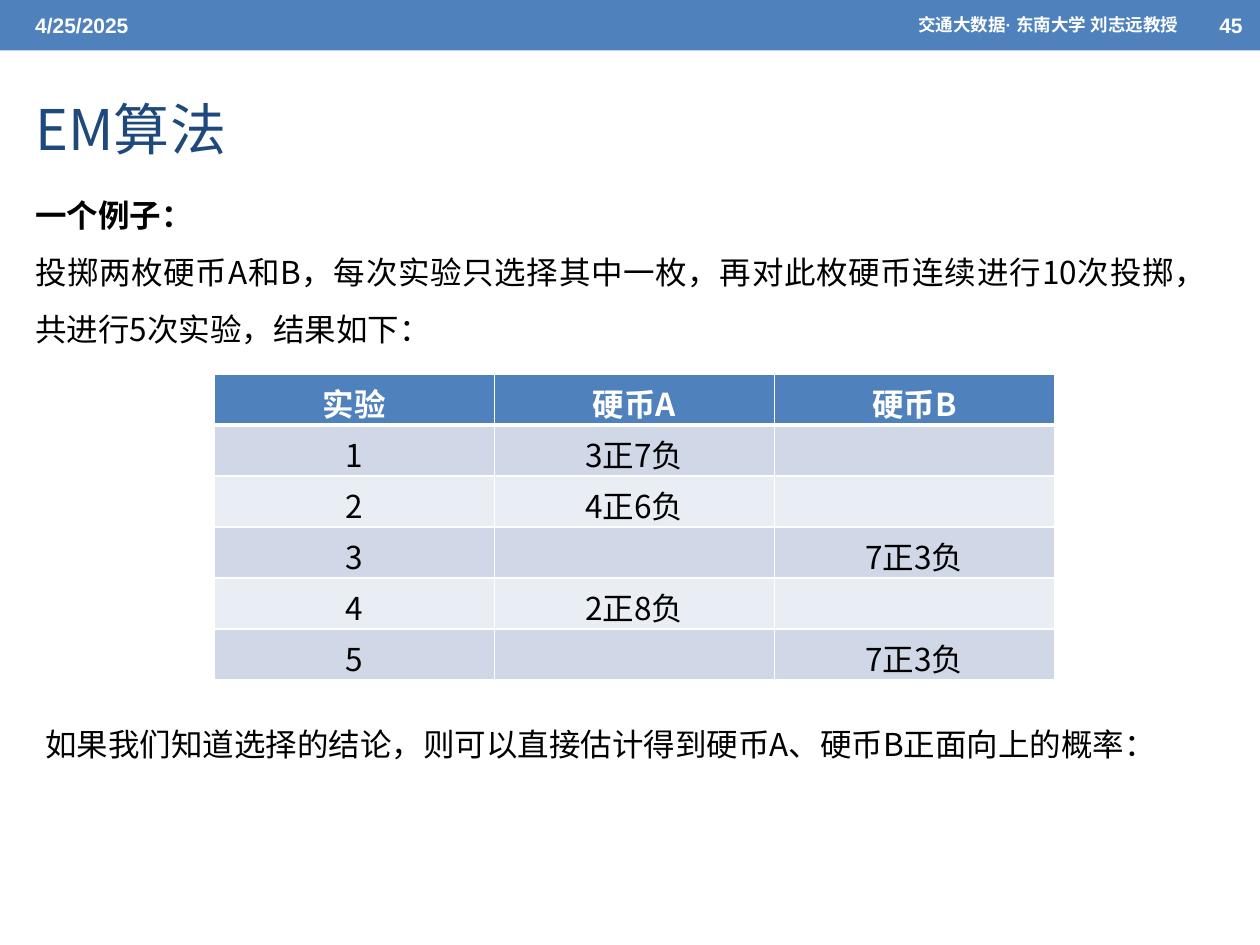
from dataclasses import dataclass
from typing import Any, Optional

import lxml.etree
import pptx
import pptx.dml.color
import pptx.enum.shapes
import pptx.enum.text
import pptx.oxml.ns
import pptx.util

Cm = pptx.util.Cm
Align = pptx.enum.text.PP_ALIGN
Anchor = pptx.enum.text.MSO_ANCHOR
AutoSize = pptx.enum.text.MSO_AUTO_SIZE


@dataclass(frozen=True)
class Theme:
    blue: str = "4F81BD"
    title: str = "1F497D"
    ink: str = "000000"
    white: str = "FFFFFF"
    bands: tuple[str, str] = ("D0D8E8", "E9EDF4")
    latin: str = "Arial"
    cjk: str = "Noto Sans CJK SC"
    title_size: float = 32
    body_size: float = 18
    date_size: float = 12
    course_size: float = 10


THEME = Theme()


@dataclass(frozen=True)
class Style:
    size: float = THEME.body_size
    color: str = THEME.ink
    bold: bool = False
    font: str = THEME.cjk
    align: Any = Align.LEFT
    spacing: Optional[float] = None


@dataclass(frozen=True)
class Box:
    left: float
    top: float
    width: float
    height: float

    def lengths(self) -> list[int]:
        return [Cm(v) for v in (self.left, self.top, self.width, self.height)]


@dataclass(frozen=True)
class TextBlock:
    box: Box
    lines: tuple[tuple[str, Style], ...]
    anchor: Any = Anchor.TOP
    wrap: bool = True
    grow: bool = False


def rgb(color: str) -> pptx.dml.color.RGBColor:
    return pptx.dml.color.RGBColor.from_string(color)


def write(paragraph: Any, text: str, style: Style) -> None:
    paragraph.text = text
    paragraph.alignment = style.align
    if style.spacing:
        paragraph.line_spacing = style.spacing
    font = paragraph.font
    font.size = pptx.util.Pt(style.size)
    font.bold = style.bold
    font.color.rgb = rgb(style.color)
    font.name = style.font
    east_asian = lxml.etree.SubElement(
        paragraph._p.pPr.find(pptx.oxml.ns.qn("a:defRPr")), pptx.oxml.ns.qn("a:ea"))
    east_asian.set("typeface", style.font)


def add_text(slide: Any, block: TextBlock) -> None:
    frame = slide.shapes.add_textbox(*block.box.lengths()).text_frame
    frame.word_wrap = block.wrap
    frame.vertical_anchor = block.anchor
    frame.auto_size = AutoSize.SHAPE_TO_FIT_TEXT if block.grow else AutoSize.NONE
    for index, (text, style) in enumerate(block.lines):
        paragraph = frame.add_paragraph() if index else frame.paragraphs[0]
        write(paragraph, text, style)


def add_header_bar(slide: Any) -> None:
    bar = slide.shapes.add_shape(
        pptx.enum.shapes.MSO_SHAPE.RECTANGLE, *Box(0, 0, 25.4, 1.02).lengths())
    bar.shadow.inherit = False
    bar.fill.solid()
    bar.fill.fore_color.rgb = rgb(THEME.blue)
    bar.line.fill.background()


def set_title(slide: Any, text: str) -> None:
    title = slide.shapes.title
    title.left, title.top, title.width, title.height = Box(0.46, 1.22, 22.86, 2.74).lengths()
    frame = title.text_frame
    frame.vertical_anchor = Anchor.MIDDLE
    frame.auto_size = AutoSize.NONE
    write(frame.paragraphs[0], text, Style(THEME.title_size, THEME.title))


def set_borders(cell: Any, bottom: float) -> None:
    """Draw white cell borders; the schema wants them ahead of the fill."""
    properties = cell._tc.get_or_add_tcPr()
    for index, (side, points) in enumerate(
            (("lnL", 1), ("lnR", 1), ("lnT", 1), ("lnB", bottom))):
        line = lxml.etree.Element(
            pptx.oxml.ns.qn(f"a:{side}"), w=str(pptx.util.Pt(points)))
        fill = lxml.etree.SubElement(line, pptx.oxml.ns.qn("a:solidFill"))
        lxml.etree.SubElement(fill, pptx.oxml.ns.qn("a:srgbClr"), val=THEME.white)
        properties.insert(index, line)


def add_results(slide: Any, box: Box, rows: list[tuple[str, str, str]]) -> None:
    table = slide.shapes.add_table(len(rows), len(rows[0]), *box.lengths()).table
    for row, texts in enumerate(rows):
        header = row == 0
        style = Style(color=THEME.white if header else THEME.ink,
                      bold=header, align=Align.CENTER)
        for column, text in enumerate(texts):
            cell = table.cell(row, column)
            cell.fill.solid()
            cell.fill.fore_color.rgb = rgb(
                THEME.blue if header else THEME.bands[(row - 1) % 2])
            set_borders(cell, bottom=3 if header else 1)
            write(cell.text_frame.paragraphs[0], text, style)


DATE = Style(THEME.date_size, THEME.white, True, THEME.latin)
COURSE = Style(THEME.course_size, THEME.white, True, THEME.latin, Align.RIGHT)

HEADER = [
    TextBlock(Box(0.46, 0.05, 8.05, 0.91), (("4/25/2025", DATE),), Anchor.MIDDLE),
    TextBlock(Box(24.33, 0.05, 1.07, 0.91), (("45", DATE),), Anchor.MIDDLE),
    TextBlock(Box(10.59, 0.05, 13.41, 0.91),
              (("交通大数据· 东南大学 刘志远教授", COURSE),), Anchor.MIDDLE),
]
EXAMPLE = TextBlock(
    Box(0.46, 3.45, 24.1, 4.75),
    (("一个例子：", Style(bold=True, align=Align.JUSTIFY, spacing=1.5)),
     ("投掷两枚硬币A和B，每次实验只选择其中一枚，再对此枚硬币连续进行10次投掷，"
      "共进行5次实验，结果如下：", Style(align=Align.JUSTIFY, spacing=1.5))),
    grow=True)
CONCLUSION = TextBlock(
    Box(0.66, 14.5, 23.22, 1.8),
    (("如果我们知道选择的结论，则可以直接估计得到硬币A、硬币B正面向上的概率：", Style()),),
    wrap=False, grow=True)
RESULTS = [
    ("实验", "硬币A", "硬币B"),
    ("1", "3正7负", ""),
    ("2", "4正6负", ""),
    ("3", "", "7正3负"),
    ("4", "2正8负", ""),
    ("5", "", "7正3负"),
]


def main() -> None:
    deck = pptx.Presentation()
    deck.slide_width, deck.slide_height = Cm(25.4), Cm(19.05)
    slide = deck.slides.add_slide(deck.slide_layouts.get_by_name("Title Only"))
    add_header_bar(slide)
    for block in HEADER:
        add_text(slide, block)
    set_title(slide, "EM算法")
    add_text(slide, EXAMPLE)
    add_results(slide, Box(4.32, 7.54, 16.94, 6.17), RESULTS)
    add_text(slide, CONCLUSION)
    deck.save("out.pptx")


if __name__ == "__main__":
    main()
